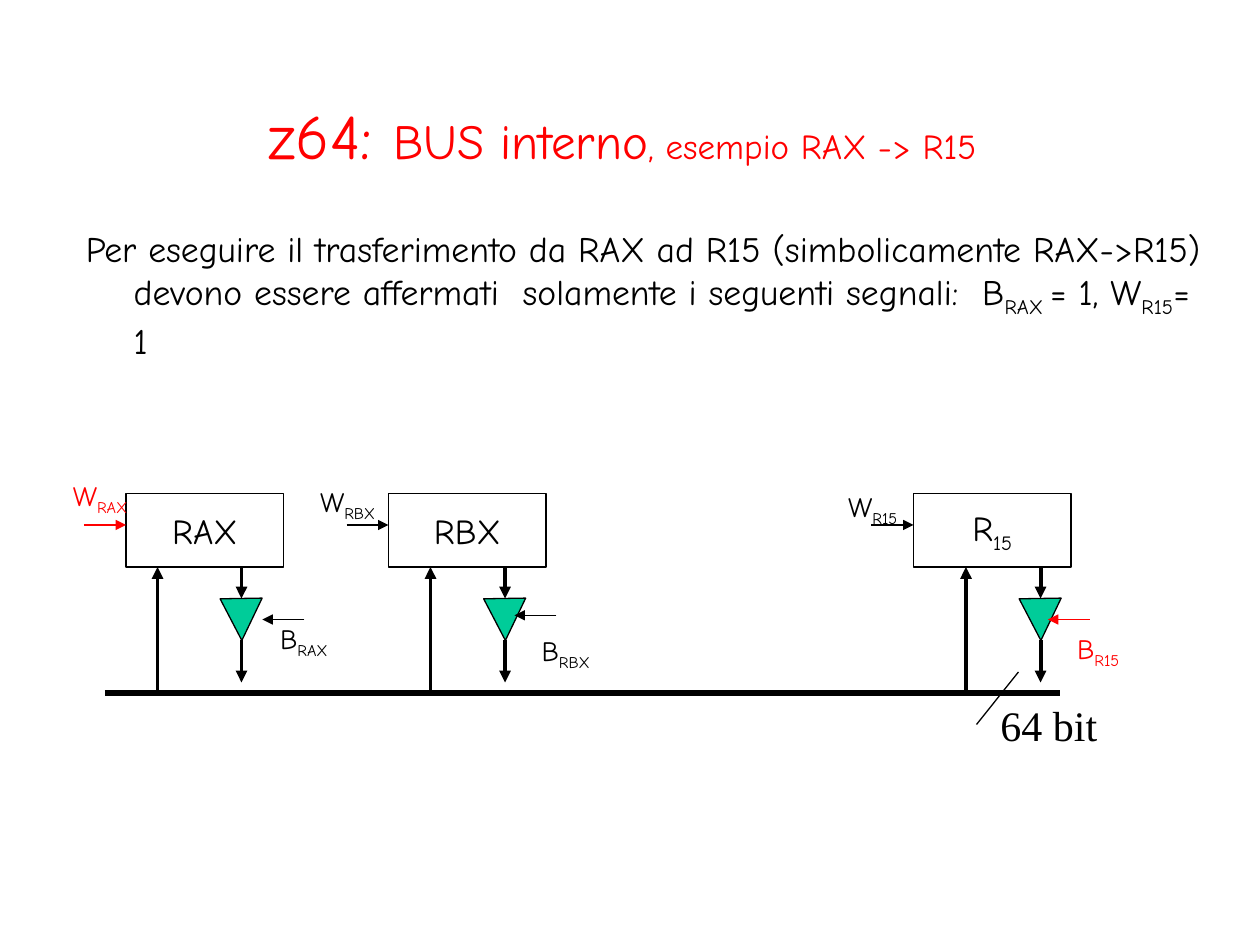
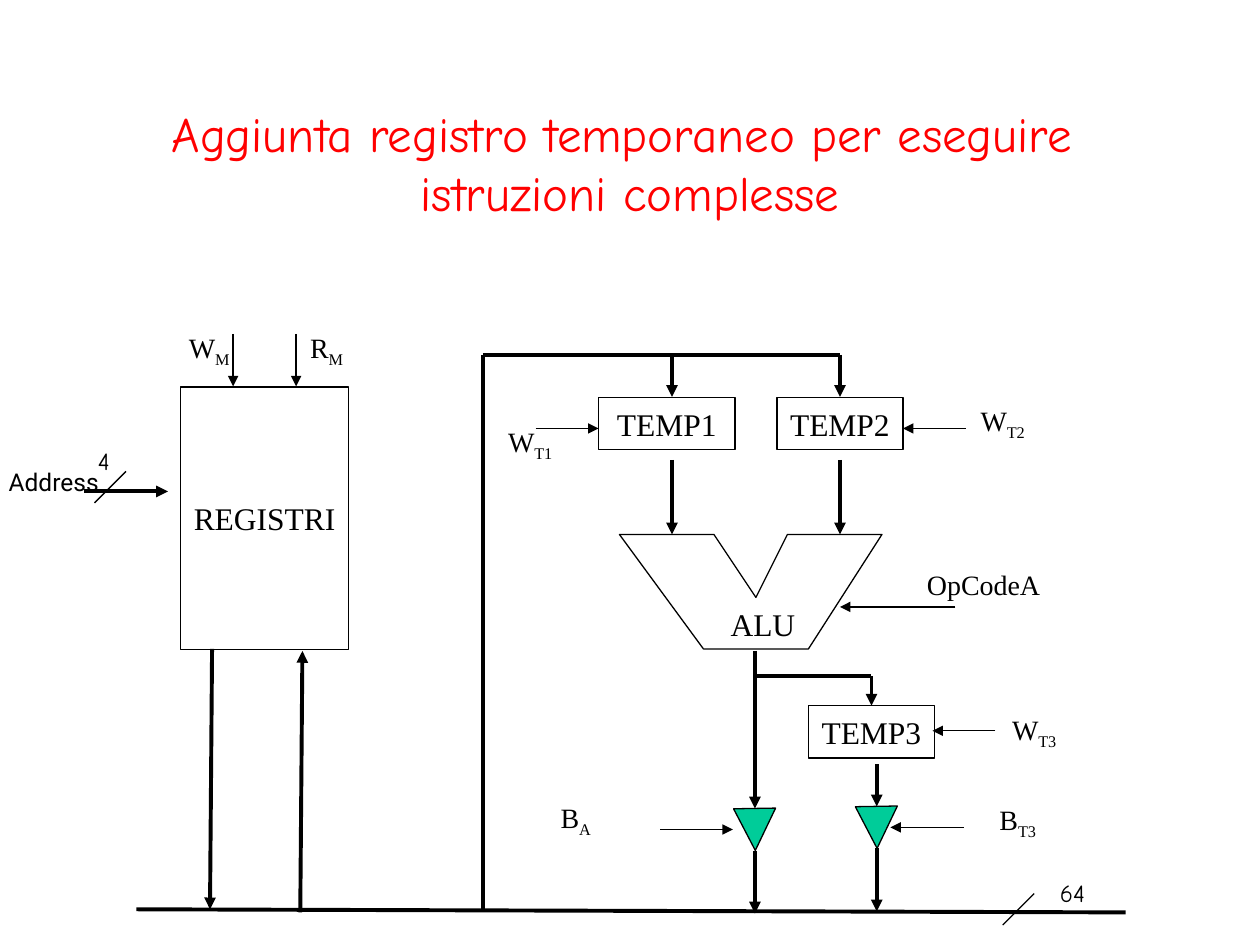
from dataclasses import dataclass

from lxml.etree import SubElement
from pptx import Presentation
from pptx.dml.color import RGBColor
from pptx.enum.shapes import MSO_CONNECTOR, MSO_SHAPE
from pptx.enum.text import MSO_ANCHOR, MSO_AUTO_SIZE, PP_ALIGN
from pptx.oxml.ns import qn
from pptx.util import Inches, Pt


@dataclass(frozen=True)
class Theme:
    black: RGBColor = RGBColor(0, 0, 0)
    white: RGBColor = RGBColor(255, 255, 255)
    red: RGBColor = RGBColor(255, 0, 0)
    green: RGBColor = RGBColor(0, 204, 153)
    hand: str = "Comic Neue"
    serif: str = "Times New Roman"
    sans: str = "Roboto"
    lead: float = 36
    title: float = 28
    text: float = 20
    body: float = 20.4
    width: float = 24
    box: float = 18
    signal: float = 16
    note: float = 14
    thin: float = 0.75
    bold: float = 2.25
    bus: float = 3


T = Theme()
prs = Presentation()
prs.slide_width, prs.slide_height = Inches(10), Inches(7.5)
U = prs.slide_width / 120


def write(p, text, size, font, color=T.black):
    for i, part in enumerate(text.split("_")):
        r = p.add_run()
        r.text = part
        r.font.size = Pt(size)
        r.font.name = font
        r.font.color.rgb = color
        if i % 2:
            r.font._rPr.set("baseline", "-25000")


def wire(s, x1, y1, x2, y2, weight=T.thin, color=T.black, arrow=True):
    ends = [round(U * v) for v in (x1, y1, x2, y2)]
    c = s.shapes.add_connector(MSO_CONNECTOR.STRAIGHT, *ends)
    c.line.width = Pt(weight)
    c.line.color.rgb = color
    if arrow:
        SubElement(c.line._get_or_add_ln(), qn("a:tailEnd"), type="triangle")
    SubElement(c._element.spPr, qn("a:effectLst"))


registers = [
    ("RAX", "RAX", 12, 3, 11, (5.76, 45, 10), T.red, (29, 59), (25.5, 58.6, 10), T.black),
    ("RBX", "RBX", 37, 4, 11.1, (29.3, 45.6, 10), T.black, (53, 58.6), (50.4, 59.7, 10), T.black),
    ("R_15", "R15", 87, 5, 12.1, (79.6, 46, 10), T.black, (103.8, 59), (101.4, 59.6, 10), T.red),
]
bus_boxes, bus_buffers, bus_labels = [], [], []
bus_wires = [
    (10, 66, 101, 66, T.bus, T.black, False),
    (97, 64, 93, 69, T.thin, T.black, False),
]
for name, signal, x, up, down, w_at, w_color, (bx, by), b_at, b_color in registers:
    bus_boxes.append((name, x, 47, 15, 7, T.text, T.hand))
    bus_buffers.append((x + down, 57))
    bus_wires += [
        (x - 4, 50, x, 50, T.thin, w_color),
        (x + up, 66, x + up, 54, T.bold),
        (x + down, 54, x + down, 57, T.bold),
        (x + down, 61, x + down, 65, T.bold),
        (bx, by, bx - 4, by, T.thin, b_color),
    ]
    bus_labels += [
        (f"W_{signal}", *w_at, T.signal, T.hand, w_color),
        (f"B_{signal}", *b_at, T.signal, T.hand, b_color),
    ]
bus_labels.append(("64 bit", 94.1, 66, 15, T.width, T.serif))

alu_boxes = [
    ("TEMP1", 57, 37.85, 13, 5, T.box, T.serif),
    ("TEMP2", 74, 37.85, 12, 5, T.box, T.serif),
    ("TEMP3", 77, 67.2, 12, 5, T.box, T.serif),
    ("REGISTRI", 17.2, 36.85, 16, 25, T.box, T.serif),
]
alu_buffers = [(71.9, 77), (83.5, 76.8)]
alu_wires = [
    (13, 86.6, 107.2, 86.9, T.bold, T.black, False),
    (46, 86.6, 46, 33.8, T.bold, T.black, False),
    (46, 33.8, 80, 33.8, T.bold, T.black, False),
    (71.9, 64.4, 83, 64.4, T.bold, T.black, False),
    (12, 44.9, 9, 47.9, T.thin, T.black, False),
    (98.5, 85.1, 95.5, 88.1, T.thin, T.black, False),
    (71.9, 62, 71.9, 77, T.bold),
    (71.9, 81, 71.9, 87, T.bold),
    (83, 64.4, 83, 67.2, T.bold),
    (83.5, 72.8, 83.5, 76.8, T.bold),
    (83.5, 80.8, 83.5, 86.8, T.bold),
    (20.2, 61.8, 20, 86.6, T.bold),
    (28.6, 86.9, 28.8, 62, T.bold),
    (8, 46.8, 16, 46.8, T.bold),
    (22.2, 31.8, 22.2, 36.8),
    (28.2, 31.8, 28.2, 36.8),
    (51, 40.8, 57, 40.8),
    (92, 40.8, 86, 40.8),
    (91, 57.8, 80, 57.8),
    (62.9, 79, 69.8, 79),
    (94.8, 69.6, 88.8, 69.6),
    (91.8, 78.8, 84.8, 78.8),
]
for x in (64, 80):
    alu_wires += [(x, 33.8, x, 37.8, T.bold), (x, 43.8, x, 50.9, T.bold)]
alu_labels = [
    ("W_M", 16.8, 30.9, 9, T.signal, T.serif),
    ("R_M", 28.35, 30.9, 9, T.signal, T.serif),
    ("W_T1", 47.2, 39.8, 9, T.signal, T.serif),
    ("W_T2", 92.2, 37.8, 9, T.signal, T.serif),
    ("W_T3", 95.2, 67.25, 9, T.signal, T.serif),
    ("B_A", 52.2, 75.65, 9, T.signal, T.serif),
    ("B_T3", 94, 75.8, 9, T.signal, T.serif),
    ("OpCodeA", 87.1, 53.45, 16, T.signal, T.serif),
    ("ALU", 68.4, 57, 12, T.box, T.serif),
    ("4", 8.15, 41.9, 6, T.note, T.hand),
    ("64", 99.75, 83, 8, T.note, T.hand),
    ("Address", -0.36, 43.85, 14, T.note, T.sans),
]

bus_title = [("z64: ", T.lead), ("BUS interno", T.title), (", esempio RAX -> R15", T.text)]
alu_title = [("Aggiunta registro temporaneo per eseguire ", T.title), ("\n", T.title),
             ("istruzioni complesse", T.title)]
slides = [
    (bus_title, 8.3, 5.3, bus_boxes, bus_buffers, bus_wires, bus_labels),
    (alu_title, 9, 8, alu_boxes, alu_buffers, alu_wires, alu_labels),
]
for title, left, top, boxes, buffers, wires, labels in slides:
    s = prs.slides.add_slide(prs.slide_layouts[5])
    sp = s.shapes.title
    sp.left, sp.top, sp.width, sp.height = [round(U * v) for v in (left, top, 102, 15)]
    tf = sp.text_frame
    tf.auto_size = MSO_AUTO_SIZE.NONE
    tf.vertical_anchor = MSO_ANCHOR.MIDDLE
    p = tf.paragraphs[0]
    p.alignment = PP_ALIGN.CENTER
    for text, size in title:
        if text == "\n":
            p.add_line_break()
        else:
            write(p, text, size, T.hand, T.red)

    for text, x, y, w, h, size, font in boxes:
        sp = s.shapes.add_shape(MSO_SHAPE.RECTANGLE, *[round(U * v) for v in (x, y, w, h)])
        sp.shadow.inherit = False
        sp.fill.solid()
        sp.fill.fore_color.rgb = T.white
        sp.line.color.rgb = T.black
        sp.line.width = Pt(T.thin)
        tf = sp.text_frame
        tf.word_wrap = False
        tf.vertical_anchor = MSO_ANCHOR.MIDDLE
        p = tf.paragraphs[0]
        p.alignment = PP_ALIGN.CENTER
        write(p, text, size, font)

    for x, y in buffers:
        sp = s.shapes.add_shape(MSO_SHAPE.ISOSCELES_TRIANGLE,
                                *[round(U * v) for v in (x - 2, y, 4, 4)])
        sp.rotation = 179.1
        sp.shadow.inherit = False
        sp.fill.solid()
        sp.fill.fore_color.rgb = T.green
        sp.line.color.rgb = T.black
        sp.line.width = Pt(T.thin)

    for ends in wires:
        wire(s, *ends)

    for text, x, y, w, size, font, *color in labels:
        h = size * 0.2 + 1.7
        sp = s.shapes.add_textbox(*[round(U * v) for v in (x, y, w, h)])
        tf = sp.text_frame
        tf.word_wrap = True
        tf.auto_size = MSO_AUTO_SIZE.NONE
        write(tf.paragraphs[0], text, size, font, *color)

sp = prs.slides[0].shapes.add_textbox(*[round(U * v) for v in (7, 21, 109.7, 15)])
tf = sp.text_frame
tf.word_wrap = True
p = tf.paragraphs[0]
pPr = p._p.get_or_add_pPr()
pPr.set("marL", str(Inches(0.38)))
pPr.set("indent", str(-Inches(0.38)))
write(p, "Per eseguire il trasferimento da RAX ad R15 (simbolicamente RAX->R15) "
         "devono essere affermati  solamente i seguenti segnali:  B_RAX _= 1, W_R15_= 1",
      T.body, T.hand)

outline = [(59, 50.9), (68, 50.9), (72, 56.9), (75, 50.9), (84, 50.9), (77, 61.8), (67, 61.8)]
points = [(round(U * x), round(U * y)) for x, y in outline]
builder = prs.slides[1].shapes.build_freeform(*points[0])
builder.add_line_segments(points[1:], close=True)
sp = builder.convert_to_shape()
sp.shadow.inherit = False
sp.fill.background()
sp.line.color.rgb = T.black
sp.line.width = Pt(T.thin)

prs.save("out.pptx")
